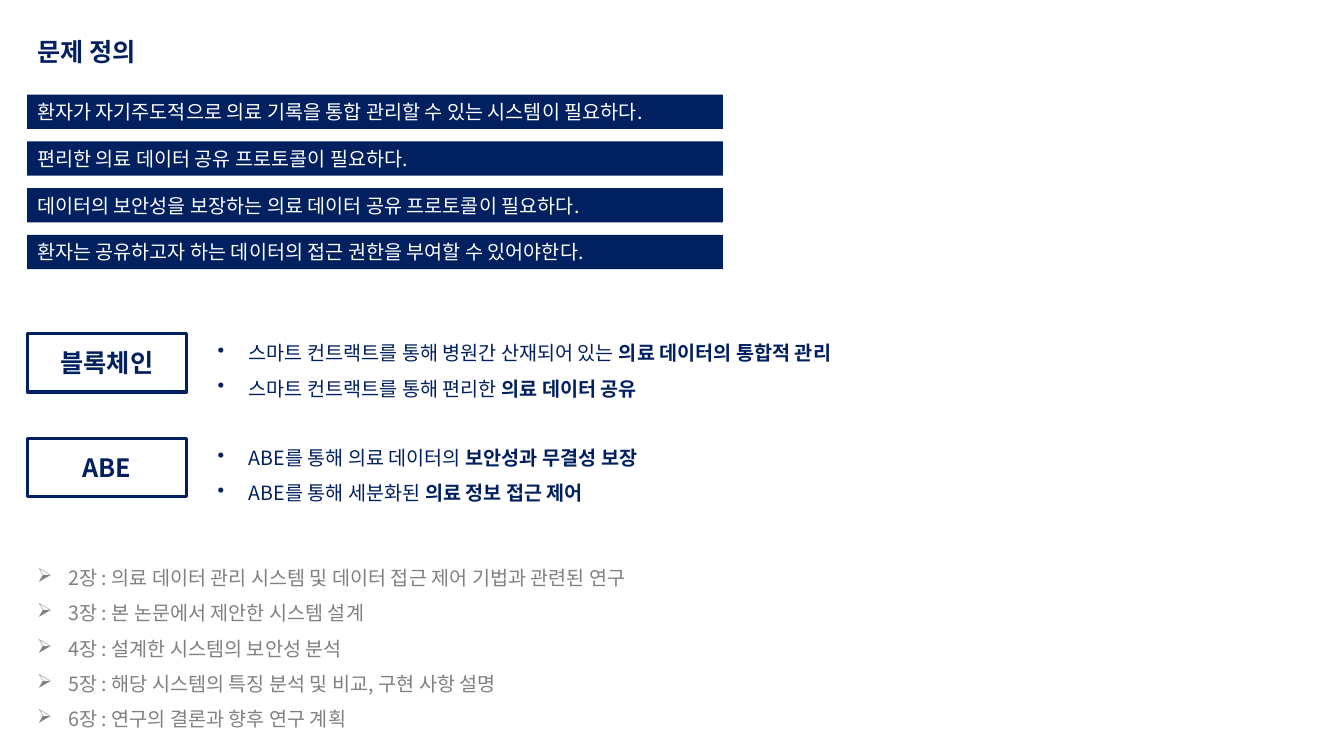
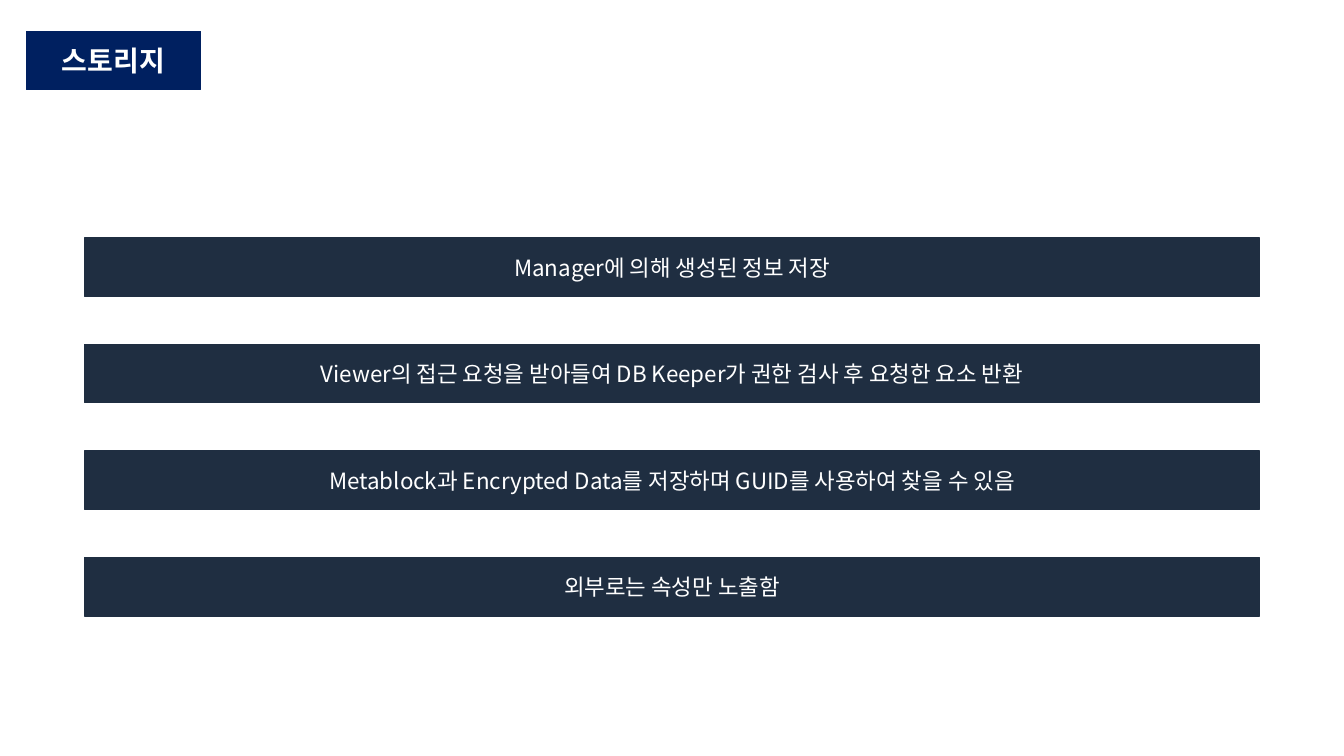
import lxml.etree
import pptx
import pptx.dml.color
import pptx.enum.shapes
import pptx.enum.text
import pptx.oxml.ns
import pptx.util

Inches = pptx.util.Inches
Pt = pptx.util.Pt
qn = pptx.oxml.ns.qn
ALIGN = pptx.enum.text.PP_ALIGN
ANCHOR = pptx.enum.text.MSO_ANCHOR

FONT = "Noto Sans CJK KR"
COLORS = {"navy": "002060", "slate": "1F2E41", "gray": "808080", "white": "FFFFFF"}
LEFT = 0.27
BOX_HEIGHT = 0.58
INDENT = 0.31

NEEDS = [
    "환자가 자기주도적으로 의료 기록을 통합 관리할 수 있는 시스템이 필요하다.",
    "편리한 의료 데이터 공유 프로토콜이 필요하다.",
    "데이터의 보안성을 보장하는 의료 데이터 공유 프로토콜이 필요하다.",
    "환자는 공유하고자 하는 데이터의 접근 권한을 부여할 수 있어야한다.",
]
# Each solution: label, then (plain text, bold text) per bullet
SOLUTIONS = [
    ("블록체인", [
        ("스마트 컨트랙트를 통해 병원간 산재되어 있는 ", "의료 데이터의 통합적 관리"),
        ("스마트 컨트랙트를 통해 편리한 ", "의료 데이터 공유"),
    ]),
    ("ABE", [
        ("ABE를 통해 의료 데이터의 ", "보안성과 무결성 보장"),
        ("ABE를 통해 세분화된 ", "의료 정보 접근 제어"),
    ]),
]
CHAPTERS = [
    ("2장 : 의료 데이터 관리 시스템 및 데이터 접근 제어 기법과 관련된 연구", ""),
    ("3장 : 본 논문에서 제안한 시스템 설계", ""),
    ("4장 : 설계한 시스템의 보안성 분석", ""),
    ("5장 : 해당 시스템의 특징 분석 및 비교, 구현 사항 설명", ""),
    ("6장 : 연구의 결론과 향후 연구 계획", ""),
]
STORAGE_FEATURES = [
    "Manager에 의해 생성된 정보 저장",
    "Viewer의 접근 요청을 받아들여 DB Keeper가 권한 검사 후 요청한 요소 반환",
    "Metablock과 Encrypted Data를 저장하며 GUID를 사용하여 찾을 수 있음",
    "외부로는 속성만 노출함",
]


def rgb(name):
    return pptx.dml.color.RGBColor.from_string(COLORS[name])


def spread(first, last, items):
    """Pair each item with its top, evenly spaced from first to last."""
    step = (last - first) / (len(items) - 1)
    return [(first + index * step, item) for index, item in enumerate(items)]


def style_paragraph(paragraph, size, color, bold=False, align=ALIGN.LEFT):
    paragraph.alignment = align
    font = paragraph.font
    font.size = Pt(size)
    font.bold = bold
    font.color.rgb = rgb(color)
    font.name = FONT
    # Hangul takes the East Asian typeface
    defaults = paragraph._p.get_or_add_pPr().find(qn("a:defRPr"))
    lxml.etree.SubElement(defaults, qn("a:ea")).set("typeface", FONT)


def set_text(shape, text, size, color, bold=False, align=ALIGN.CENTER):
    frame = shape.text_frame
    frame.text = text
    frame.word_wrap = True
    frame.auto_size = pptx.enum.text.MSO_AUTO_SIZE.NONE
    frame.vertical_anchor = ANCHOR.MIDDLE
    frame.margin_top = frame.margin_bottom = 0
    style_paragraph(frame.paragraphs[0], size, color, bold, align)


def paint(shape, fill, line=None, line_width=1):
    shape.fill.solid()
    shape.fill.fore_color.rgb = rgb(fill)
    if line:
        shape.line.color.rgb = rgb(line)
        shape.line.width = Pt(line_width)
    else:
        shape.line.fill.background()


def add_box(slide, position, fill, line=None, line_width=1):
    shape = slide.shapes.add_shape(
        pptx.enum.shapes.MSO_SHAPE.RECTANGLE, *map(Inches, position))
    shape.shadow.inherit = False
    paint(shape, fill, line, line_width)
    return shape


def add_titled_slide(presentation, text, position, size, color, align):
    slide = presentation.slides.add_slide(presentation.slide_layouts[5])
    title = slide.shapes.title
    title.left, title.top, title.width, title.height = map(Inches, position)
    set_text(title, text, size, color, True, align)
    return slide


def add_list(slide, position, items, bullet, color):
    frame = slide.shapes.add_textbox(*map(Inches, position)).text_frame
    frame.word_wrap = True
    for index, (plain, strong) in enumerate(items):
        paragraph = frame.add_paragraph() if index else frame.paragraphs[0]
        paragraph.line_spacing = 1.5
        # Hanging bullet
        properties = paragraph._p.get_or_add_pPr()
        properties.set("marL", str(Inches(INDENT)))
        properties.set("indent", str(-Inches(INDENT)))
        lxml.etree.SubElement(properties, qn("a:buChar")).set("char", bullet)
        style_paragraph(paragraph, 14, color)
        paragraph.add_run().text = plain
        if strong:
            run = paragraph.add_run()
            run.text = strong
            run.font.bold = True


def build_problem_slide(presentation):
    slide = add_titled_slide(
        presentation, "문제 정의", (LEFT, 0.31, 1.3, 0.4), 18, "navy", ALIGN.LEFT)
    # Needs
    for top, need in spread(0.94, 2.33, NEEDS):
        bar = add_box(slide, (LEFT, top, 6.9, 0.34), "navy")
        set_text(bar, need, 14, "white", align=ALIGN.LEFT)
    # Solutions
    for top, (label, points) in spread(3.31, 4.35, SOLUTIONS):
        box = add_box(slide, (LEFT, top, 1.58, BOX_HEIGHT), "white", "navy", 2.25)
        set_text(box, label, 18, "navy", True)
        add_list(slide, (2.06, top - 0.09, 7.02, 0.76), points, "•", "navy")
    # Chapter outline
    add_list(slide, (LEFT, 5.45, 6.79, 1.82), CHAPTERS, "➢", "gray")


def build_storage_slide(presentation):
    slide = add_titled_slide(
        presentation, "스토리지", (0.26, 0.31, 1.73, BOX_HEIGHT), 20, "white", ALIGN.CENTER)
    paint(slide.shapes.title, "navy", "navy")
    # Features
    for top, feature in spread(2.36, 5.53, STORAGE_FEATURES):
        bar = add_box(slide, (0.84, top, 11.65, BOX_HEIGHT), "slate", "slate")
        set_text(bar, feature, 16, "white")


def main():
    presentation = pptx.Presentation()
    presentation.slide_width = Inches(13.33)
    presentation.slide_height = Inches(7.5)
    build_problem_slide(presentation)
    build_storage_slide(presentation)
    presentation.save("out.pptx")


if __name__ == "__main__":
    main()
